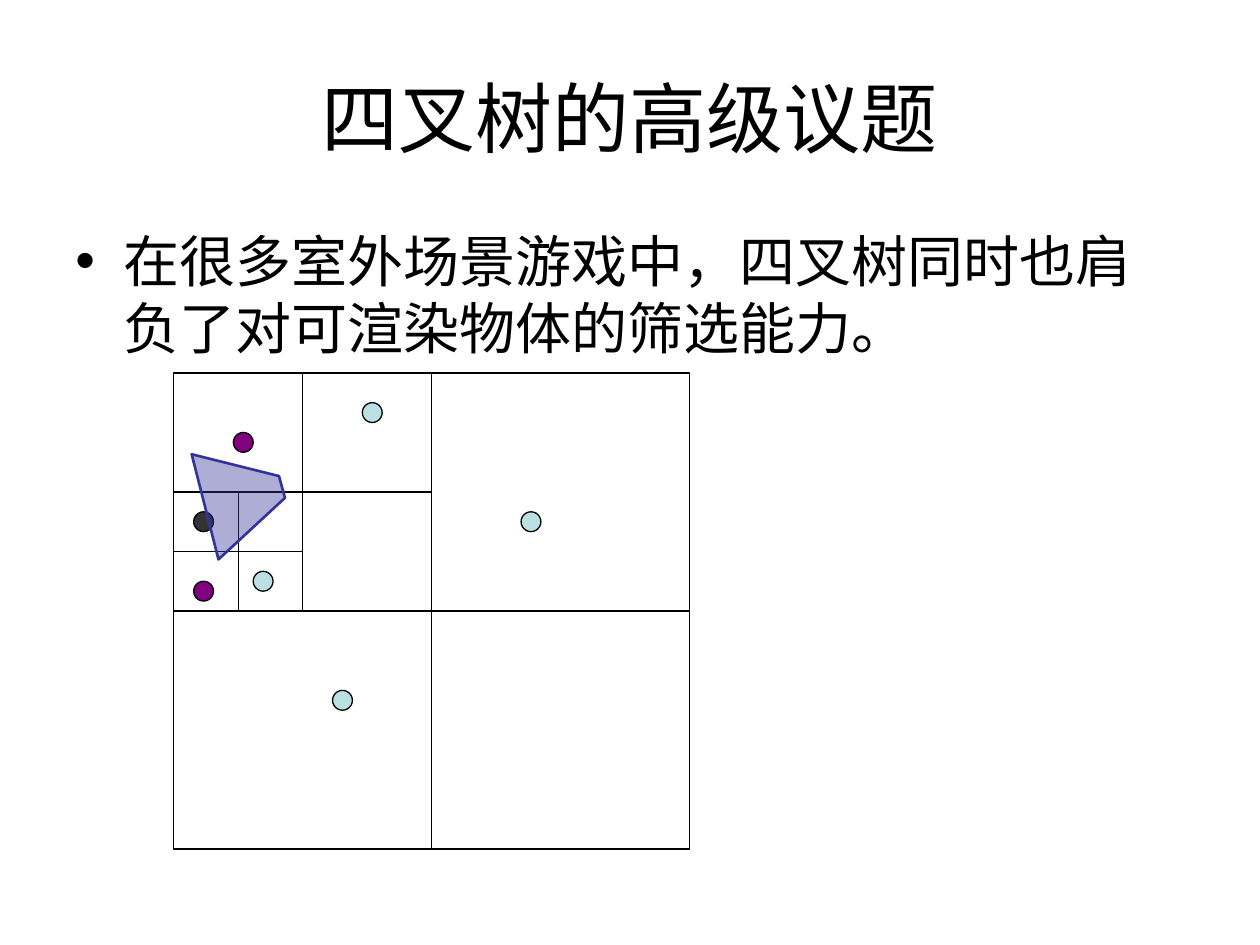
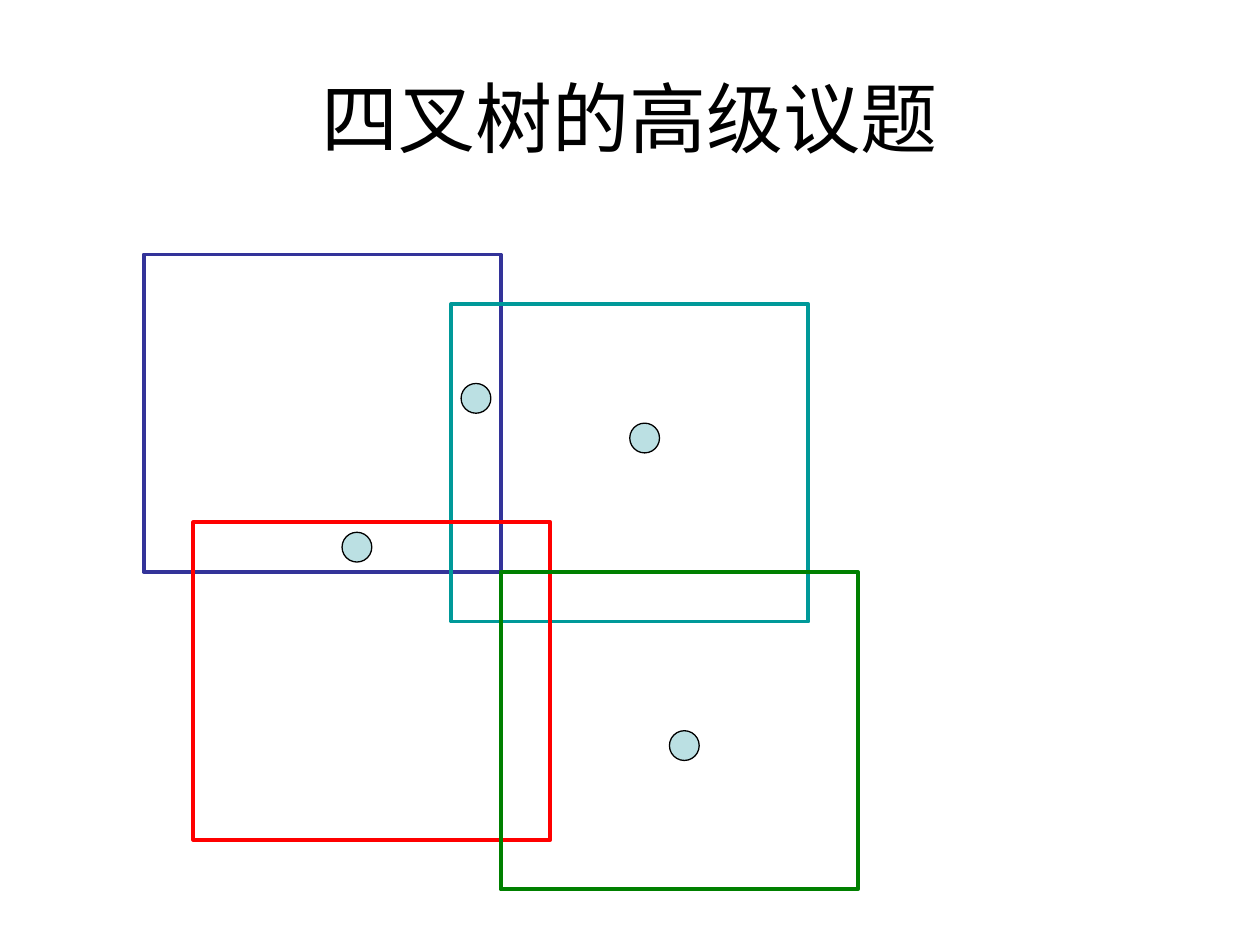
from lxml.etree import SubElement
from pptx import Presentation
from pptx.dml.color import RGBColor
from pptx.enum.shapes import MSO_CONNECTOR, MSO_SHAPE
from pptx.enum.text import MSO_ANCHOR, PP_ALIGN
from pptx.oxml.ns import qn
from pptx.util import Inches, Mm, Pt

FONT = "Arial"
BLACK = RGBColor(0x00, 0x00, 0x00)
CHARCOAL = RGBColor(0x33, 0x33, 0x33)
PALE_BLUE = RGBColor(0xBB, 0xE0, 0xE3)
PURPLE = RGBColor(0x80, 0x00, 0x80)
INDIGO = RGBColor(0x33, 0x33, 0x99)
TEAL = RGBColor(0x00, 0x99, 0x99)
RED = RGBColor(0xFF, 0x00, 0x00)
GREEN = RGBColor(0x00, 0x80, 0x00)

UNIT = Mm(2)  # grid step shared by both diagrams
THIN = Pt(0.75)
TITLE = "四叉树的高级议题"
TITLE_BOX = (Inches(0.5), Inches(0.3), Inches(9), Inches(1.25))
BODY_BOX = (Inches(0.5), Inches(1.75), Inches(9), Inches(4.95))


def add_text(slide, box, text, size):
    text_box = slide.shapes.add_textbox(*box)
    text_box.text_frame.word_wrap = True
    paragraph = text_box.text_frame.paragraphs[0]
    paragraph.text = text
    return text_box.text_frame, paragraph, size


def style_font(paragraph, size):
    paragraph.font.name = FONT
    paragraph.font.size = Pt(size)
    paragraph.font.color.rgb = BLACK


def add_title(slide):
    frame, paragraph, size = add_text(slide, TITLE_BOX, TITLE, 44)
    frame.vertical_anchor = MSO_ANCHOR.MIDDLE
    paragraph.alignment = PP_ALIGN.CENTER
    style_font(paragraph, size)


def add_bullet(slide, text):
    frame, paragraph, size = add_text(slide, BODY_BOX, text, 32)
    properties = paragraph._p.get_or_add_pPr()
    indent = Inches(0.38)
    properties.set("marL", str(indent))
    properties.set("indent", str(-indent))
    SubElement(properties, qn("a:buFont"), typeface=FONT)
    SubElement(properties, qn("a:buChar"), char="•")
    style_font(paragraph, size)


class Grid:
    """Places parts by column and row, counted from an origin."""

    def __init__(self, slide, left, top):
        self.shapes = slide.shapes
        self.left = left
        self.top = top

    def point(self, column, row):
        return round(self.left + column * UNIT), round(self.top + row * UNIT)

    def add_shape(self, kind, column, row, columns, rows,
                  fill=None, line=BLACK, width=THIN):
        shape = self.shapes.add_shape(
            kind, *self.point(column, row), columns * UNIT, rows * UNIT)
        paint(shape, fill, line, width)

    def add_dot(self, column, row, size, fill=PALE_BLUE):
        self.add_shape(MSO_SHAPE.OVAL, column, row, size, size, fill)

    def add_line(self, start, end):
        line = self.shapes.add_connector(
            MSO_CONNECTOR.STRAIGHT, *self.point(*start), *self.point(*end))
        line.line.color.rgb = BLACK
        line.line.width = THIN
        SubElement(line._element.spPr, qn("a:effectLst"))

    def split(self, column, row, columns, rows):
        """Divide a cell into four quadrants."""
        middle_column, middle_row = column + columns / 2, row + rows / 2
        self.add_line((column, middle_row), (column + columns, middle_row))
        self.add_line((middle_column, row), (middle_column, row + rows))

    def add_polygon(self, corners, color, opacity):
        points = [self.point(*corner) for corner in corners]
        builder = self.shapes.build_freeform(*points[0])
        builder.add_line_segments(points[1:], close=True)
        polygon = builder.convert_to_shape()
        paint(polygon, color, color, Pt(1.5))
        fill_color = polygon._element.spPr.find(qn("a:solidFill"))[0]
        SubElement(fill_color, qn("a:alpha"), val=str(opacity * 1000))


def paint(shape, fill, line, width):
    shape.shadow.inherit = False
    if fill is None:
        shape.fill.background()
    else:
        shape.fill.solid()
        shape.fill.fore_color.rgb = fill
    shape.line.color.rgb = line
    shape.line.width = width


def draw_quadtree(slide, left, top):
    grid = Grid(slide, left, top)
    columns, rows = 52, 48
    grid.add_shape(MSO_SHAPE.RECTANGLE, 0, 0, columns, rows)
    grid.split(0, 0, columns, rows)
    grid.split(0, 0, columns / 2, rows / 2)
    grid.split(0, rows / 4, columns / 4, rows / 4)

    objects = [
        (2, 14, CHARCOAL), (16, 32, PALE_BLUE), (35, 14, PALE_BLUE),
        (19, 3, PALE_BLUE), (6, 6, PURPLE), (8, 20, PALE_BLUE), (2, 21, PURPLE),
    ]
    for column, row, color in objects:
        grid.add_dot(column, row, 2, color)
    view_frustum = [(4.5, 18.8), (1.8, 8.2), (10.6, 10.4), (11.2, 12.6)]
    grid.add_polygon(view_frustum, INDIGO, 40)


def draw_loose_cells(slide, left, top):
    grid = Grid(slide, left, top)
    cells = [(0, 0, INDIGO), (31, 5, TEAL), (5, 27, RED), (36, 32, GREEN)]
    for column, row, color in cells:
        grid.add_shape(MSO_SHAPE.RECTANGLE, column, row, 36, 32,
                       line=color, width=Pt(2.25))
    for column, row in [(32, 13), (20, 28), (49, 17), (53, 48)]:
        grid.add_dot(column, row, 3)


def add_slide(presentation):
    slide = presentation.slides.add_slide(presentation.slide_layouts[6])
    add_title(slide)
    return slide


def main():
    presentation = Presentation()
    presentation.slide_width = Inches(10)
    presentation.slide_height = Inches(7.5)

    slide = add_slide(presentation)
    add_bullet(slide, "在很多室外场景游戏中，四叉树同时也肩负了对可渲染物体的筛选能力。")
    draw_quadtree(slide, Inches(1.38), Inches(2.96))

    slide = add_slide(presentation)
    draw_loose_cells(slide, Inches(1.14), Inches(2.02))

    presentation.save("out.pptx")


if __name__ == "__main__":
    main()
